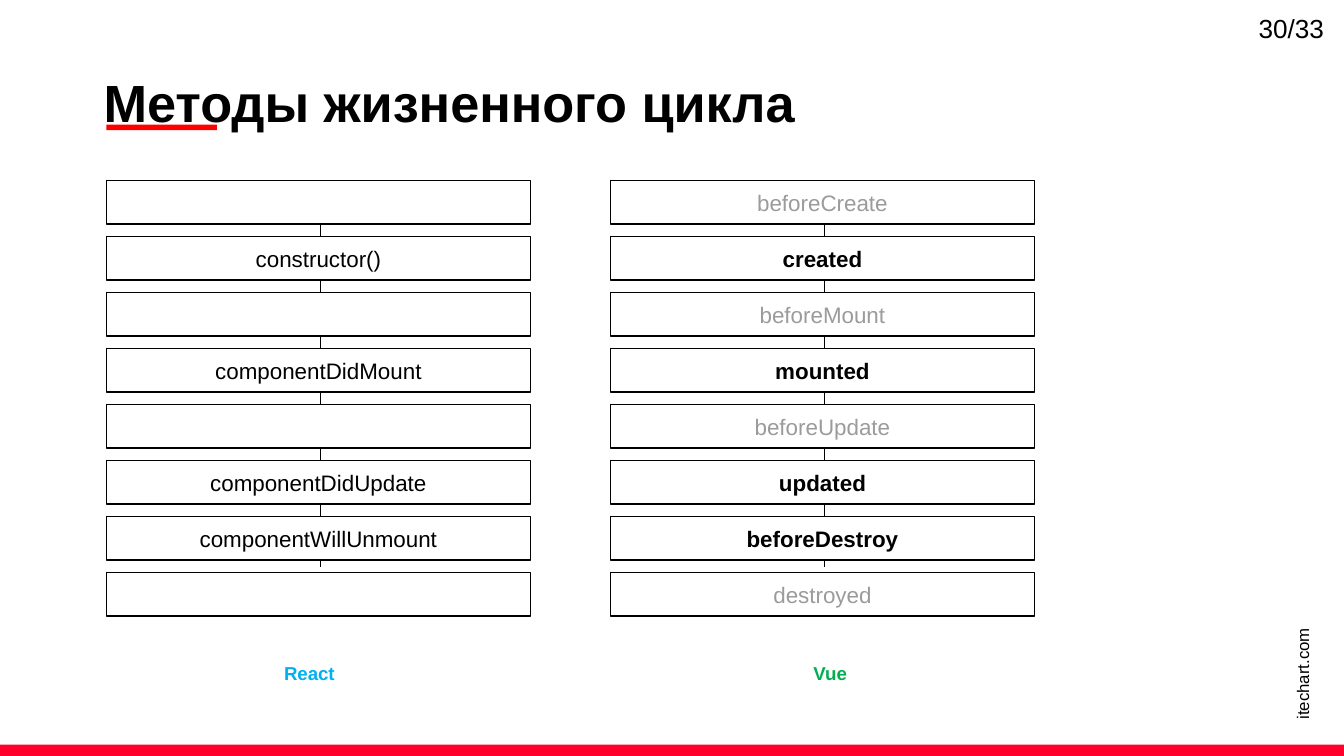
from pptx import Presentation
from pptx.dml.color import RGBColor
from pptx.enum.shapes import MSO_CONNECTOR, MSO_SHAPE
from pptx.enum.text import MSO_ANCHOR, MSO_AUTO_SIZE, PP_ALIGN
from pptx.oxml.ns import qn
from pptx.util import Pt
from lxml import etree

PX = 9525
RECT = MSO_SHAPE.RECTANGLE
STRAIGHT = MSO_CONNECTOR.STRAIGHT
TOP, MIDDLE = MSO_ANCHOR.TOP, MSO_ANCHOR.MIDDLE
LEFT, CENTER = PP_ALIGN.LEFT, PP_ALIGN.CENTER
NO_FIT = MSO_AUTO_SIZE.NONE

BLACK = RGBColor(0x00, 0x00, 0x00)
WHITE = RGBColor(0xFF, 0xFF, 0xFF)
GRAY = RGBColor(0x9B, 0x9B, 0x9B)
RED = RGBColor(0xFF, 0x00, 0x00)
CRIMSON = RGBColor(0xFF, 0x01, 0x2A)
BLUE = RGBColor(0x00, 0xB0, 0xF0)
GREEN = RGBColor(0x00, 0xB0, 0x50)

ROW_STEP = 40
ROW_HEIGHT = 31

REACT = [
    ("", BLACK, False),
    ("constructor()", BLACK, False),
    ("", BLACK, False),
    ("componentDidMount", BLACK, False),
    ("", BLACK, False),
    ("componentDidUpdate", BLACK, False),
    ("componentWillUnmount", BLACK, False),
    ("", BLACK, False),
]
VUE = [
    ("beforeCreate", GRAY, False),
    ("created", BLACK, True),
    ("beforeMount", GRAY, False),
    ("mounted", BLACK, True),
    ("beforeUpdate", GRAY, False),
    ("updated", BLACK, True),
    ("beforeDestroy", BLACK, True),
    ("destroyed", GRAY, False),
]


def px(*lengths):
    return [n * PX for n in lengths]


def set_text(sp, text, size, color=BLACK, bold=False, align=LEFT, anchor=TOP, inset=10):
    tf = sp.text_frame
    tf.word_wrap = True
    tf.auto_size = NO_FIT
    tf.vertical_anchor = anchor
    tf.margin_left = tf.margin_right = 10 * PX
    tf.margin_top = tf.margin_bottom = inset * PX
    tf.text = text
    p = tf.paragraphs[0]
    p.alignment = align
    for r in p.runs:
        r.font.name = "Arial"
        r.font.size = Pt(size)
        r.font.bold = bold
        r.font.color.rgb = color
    return tf


def add_text(s, box, text, size, **style):
    sp = s.shapes.add_textbox(*px(*box))
    set_text(sp, text, size, **style)
    return sp


def add_rect(s, box, fill, line=None):
    sp = s.shapes.add_shape(RECT, *px(*box))
    sp.shadow.inherit = False
    sp.fill.solid()
    sp.fill.fore_color.rgb = fill
    if line is None:
        sp.line.fill.background()
    else:
        sp.line.color.rgb = line
        sp.line.width = Pt(0.75)
    return sp


def add_line(s, x1, y1, x2, y2):
    cn = s.shapes.add_connector(STRAIGHT, *px(x1, y1, x2, y2))
    cn.line.color.rgb = BLACK
    cn.line.width = Pt(0.75)
    etree.SubElement(cn._element.spPr, qn("a:effectLst"))


def add_header(s, x, y, w, h):
    title = s.shapes.title
    title.left, title.top, title.width, title.height = px(x, y, w, h)
    tf = set_text(title, "Методы жизненного цикла", 28, bold=True)
    tf.paragraphs[0].line_spacing = 1.2
    add_rect(s, (x + 12, y + 58, 79, 4), RED)


def add_lifecycle(s, x, y, w, methods, label, label_color, label_dx):
    last = len(methods) - 1
    add_line(s, x + 153, y + 27, x + 153, y + last * ROW_STEP - 4)
    for i, (name, color, bold) in enumerate(methods):
        sp = add_rect(s, (x, y + i * ROW_STEP, w, ROW_HEIGHT), WHITE, BLACK)
        if name:
            set_text(sp, name, 12, color, bold, CENTER, MIDDLE)
    add_text(s, (x + label_dx, y + 336, 170, ROW_HEIGHT), label, 10,
             color=label_color, bold=True, align=CENTER, anchor=MIDDLE)


def add_footer(s, x, y, w, h):
    add_rect(s, (x, y, w, h), CRIMSON)
    site = add_text(s, (x + w - 89, y - 98, 132, 48), "itechart.com", 9)
    site.rotation = 270


def add_page_number(s, x, y, w, h):
    add_text(s, (x, y, w, h), "30/33", 14, inset=5)


def main():
    prs = Presentation()
    prs.slide_width, prs.slide_height = px(960, 540)
    s = prs.slides.add_slide(prs.slide_layouts[5])
    add_header(s, 64, 31, 625, 56)
    add_lifecycle(s, 76, 129, 303, REACT, "React", BLUE, 60)
    add_lifecycle(s, 436, 129, 303, VUE, "Vue", GREEN, 72)
    add_footer(s, 0, 532, 960, 8)
    add_page_number(s, 889, 4, 71, 33)
    prs.save("out.pptx")


if __name__ == "__main__":
    main()
